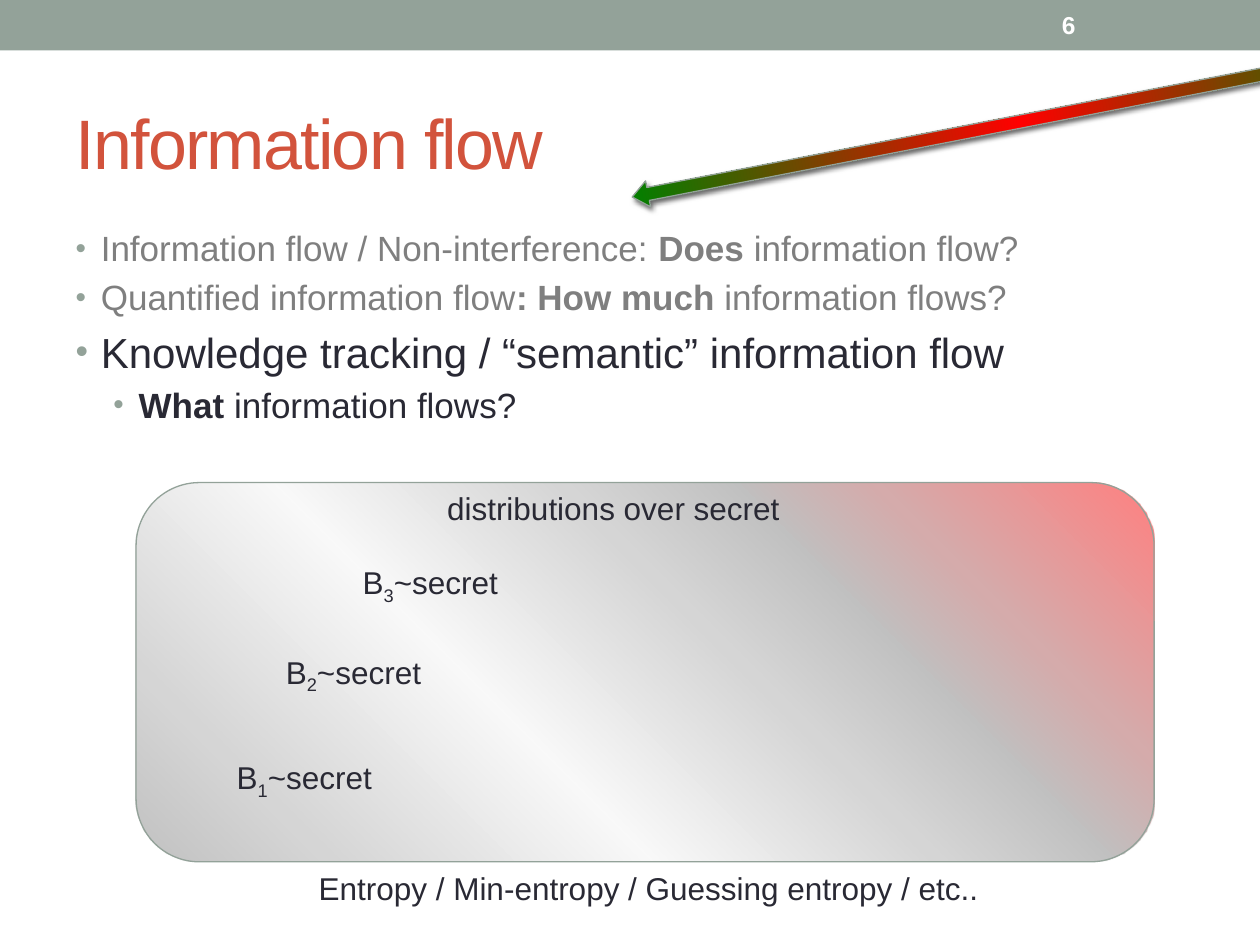
from pptx import Presentation, util as u
from pptx.dml.color import RGBColor
from pptx.enum import shapes, text
from pptx.oxml import parse_xml
from pptx.oxml.ns import nsdecls

FONT = "Arial"
SAGE = RGBColor(0x93, 0xA2, 0x99)
RUST = RGBColor(0xD2, 0x53, 0x3C)
INK = RGBColor(0x29, 0x29, 0x34)
GREY = RGBColor(0x7F, 0x7F, 0x7F)
SILVER = RGBColor(0x80, 0x80, 0x80)
PALE = RGBColor(0xF2, 0xF2, 0xF2)
RED = RGBColor(0xFF, 0x00, 0x00)
GREEN = RGBColor(0x00, 0x80, 0x00)
WHITE = RGBColor(0xFF, 0xFF, 0xFF)

# Content: bullets as level, size, colour, runs of (words, bold)
TITLE = "Information flow"
PAGE_NUMBER = "6"
BULLETS = [
    (0, 20, GREY, [("Information flow / Non-interference: ", False),
                   ("Does ", True), ("information flow?", False)]),
    (0, 20, GREY, [("Quantified information flow", False),
                   (": How much ", True), ("information flows?", False)]),
    (0, 24, INK, [("Knowledge tracking / “semantic” information flow", False)]),
    (1, 20, INK, [("What", True), (" information flows?", False)]),
]
# Beliefs as index, left, top; captions as words, left, top, width
BELIEFS = [("1", 1.78, 5.97), ("2", 2.17, 5.13), ("3", 2.78, 4.42)]
CAPTIONS = [
    ("Entropy / Min-entropy / Guessing entropy / etc..", 2.43, 6.85, 5.49),
    ("distributions over secret", 3.45, 3.83, 2.87),
]
# Gradients as position in percent, colour
PANEL_STOPS = [(0, SILVER), (37, PALE), (70, SILVER), (100, RED)]
ARROW_STOPS = [(0, GREEN), (50, RED), (100, GREEN)]
PANEL_PATH = '<a:path path="circle"><a:fillToRect t="100000" r="100000"/></a:path>'
ARROW_PATH = '<a:lin ang="0" scaled="0"/>'


def place(shape, left, top, width, height):
    shape.left, shape.top = u.Inches(left), u.Inches(top)
    shape.width, shape.height = u.Inches(width), u.Inches(height)


def style(font, size, color, bold=False):
    font.name, font.size, font.bold = FONT, u.Pt(size), bold
    font.color.rgb = color


def add_plain_shape(slide, kind, *box):
    shape = slide.shapes.add_shape(kind, *map(u.Inches, box))
    shape.shadow.inherit = False
    shape.line.color.rgb = SAGE
    shape.line.width = u.Pt(0.75)
    return shape


def set_gradient(shape, stops, direction, opacity=100):
    stop_xml = "".join(
        f'<a:gs pos="{position * 1000}"><a:srgbClr val="{color}">'
        f'<a:alpha val="{opacity * 1000}"/></a:srgbClr></a:gs>'
        for position, color in stops)
    properties = shape._element.spPr
    properties.insert(2, parse_xml(
        f'<a:gradFill {nsdecls("a")} rotWithShape="1">'
        f'<a:gsLst>{stop_xml}</a:gsLst>{direction}</a:gradFill>'))


def set_bullet(paragraph, margin):
    properties = paragraph._p.get_or_add_pPr()
    properties.set("marL", str(u.Inches(margin)))
    properties.set("indent", str(u.Inches(-0.2)))
    for tag in (f'buClr {nsdecls("a")}><a:srgbClr val="{SAGE}"/></a:buClr>',
                f'buSzPct {nsdecls("a")} val="85000"/>',
                f'buFont {nsdecls("a")} typeface="{FONT}"/>',
                f'buChar {nsdecls("a")} char="•"/>'):
        properties.append(parse_xml("<a:" + tag))


def add_label(slide, words, left, top, width, height=0.4):
    box = slide.shapes.add_textbox(*map(u.Inches, (left, top, width, height)))
    box.text_frame.word_wrap = False
    paragraph = box.text_frame.paragraphs[0]
    style(paragraph.font, 18, INK)
    for index, part in enumerate(words):
        run = paragraph.add_run()
        run.text = part
        if index == 1:  # the second part is the subscript
            run.font._element.set("baseline", "-25000")
    return box


def main():
    presentation = Presentation()
    presentation.slide_width, presentation.slide_height = u.Inches(10), u.Inches(7.5)
    slide = presentation.slides.add_slide(presentation.slide_layouts[1])

    # Top band
    band = add_plain_shape(slide, shapes.MSO_SHAPE.RECTANGLE, 0, 0, 10, 0.4)
    band.fill.solid()
    band.fill.fore_color.rgb = SAGE
    band.line.fill.background()

    # Panel of distributions
    panel = add_plain_shape(
        slide, shapes.MSO_SHAPE.ROUNDED_RECTANGLE, 1.08, 3.83, 8.08, 3.01)
    set_gradient(panel, PANEL_STOPS, PANEL_PATH, opacity=49)

    # Title
    title = slide.shapes.title
    place(title, 0.5, 0.58, 9, 1.08)
    title.text_frame.text = TITLE
    title.text_frame.auto_size = text.MSO_AUTO_SIZE.NONE
    title.text_frame.vertical_anchor = text.MSO_ANCHOR.MIDDLE
    paragraph = title.text_frame.paragraphs[0]
    paragraph.alignment = text.PP_ALIGN.LEFT
    style(paragraph.font, 40, RUST)
    paragraph.runs[0].font._element.set("spc", "-100")

    # Bullets
    body = slide.placeholders[1]
    place(body, 0.5, 1.75, 9, 1.83)
    frame = body.text_frame
    frame.auto_size = text.MSO_AUTO_SIZE.NONE
    for index, (level, size, color, runs) in enumerate(BULLETS):
        paragraph = frame.add_paragraph() if index else frame.paragraphs[0]
        paragraph.level = level
        set_bullet(paragraph, 0.2 + 0.3 * level)
        for words, bold in runs:
            run = paragraph.add_run()
            run.text = words
            style(run.font, size, color, bold)

    # Page number
    number = add_label(slide, [PAGE_NUMBER], 8.33, 0.02, 1.17, 0.36)
    number.text_frame.word_wrap = True
    number.text_frame.vertical_anchor = text.MSO_ANCHOR.MIDDLE
    style(number.text_frame.paragraphs[0].font, 14, WHITE, bold=True)

    # Beliefs and captions
    for index, left, top in BELIEFS:
        add_label(slide, ["B", index, "~secret"], left, top, 1.3)
    for words, left, top, width in CAPTIONS:
        add_label(slide, [words], left, top, width)

    # Arrow with its shadow
    arrow = add_plain_shape(
        slide, shapes.MSO_SHAPE.LEFT_RIGHT_ARROW, 4.96, 0.86, 6.27, 0.21)
    arrow.rotation = 169
    arrow.adjustments[0], arrow.adjustments[1] = 0.5, 0.61
    set_gradient(arrow, ARROW_STOPS, ARROW_PATH)
    effects = arrow._element.spPr.find(
        "{http://schemas.openxmlformats.org/drawingml/2006/main}effectLst")
    effects.append(parse_xml(
        f'<a:outerShdw {nsdecls("a")} blurRad="{u.Pt(3)}" dist="{u.Pt(2)}" '
        'dir="2700000" rotWithShape="0"><a:srgbClr val="000000">'
        '<a:alpha val="60000"/></a:srgbClr></a:outerShdw>'))

    presentation.save("out.pptx")


if __name__ == "__main__":
    main()
